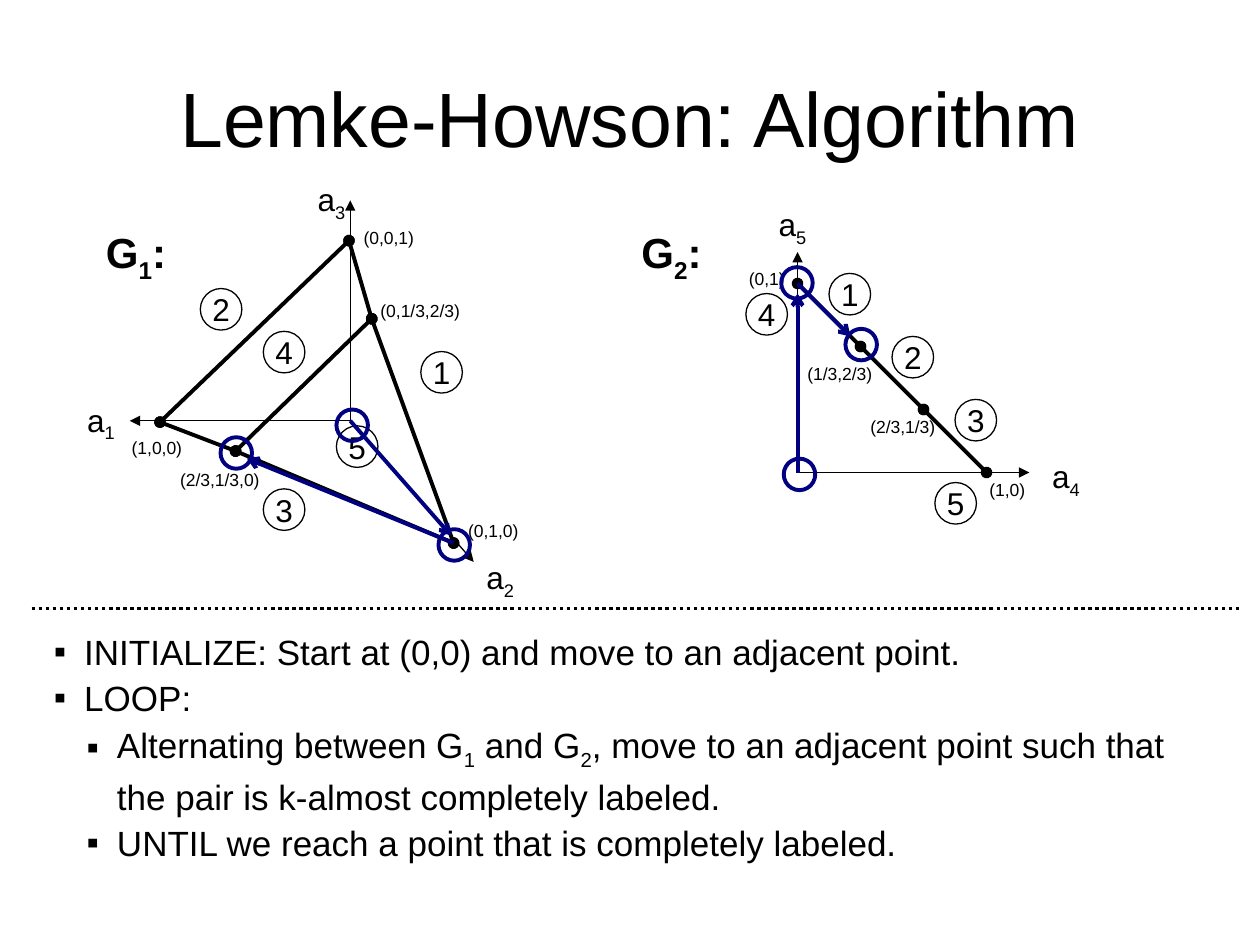
import pptx
import pptx.dml.color
import pptx.enum.dml
import pptx.enum.shapes
import pptx.enum.text
import pptx.oxml.ns
import pptx.util
from lxml import etree

Inches = pptx.util.Inches
qn = pptx.oxml.ns.qn
COLORS = {"ink": "000000", "path": "000080"}


class GraphSlide:
    """Draws labelled polytope graphs on one slide in a shared style."""

    font_name = "Arial"
    label_size = 0.33
    marker_size = 0.25

    def __init__(self, slide):
        self.slide = slide

    def rgb(self, color):
        return pptx.dml.color.RGBColor.from_string(COLORS[color])

    def style_font(self, paragraph, size, bold=False):
        font = paragraph.font
        font.name = self.font_name
        font.size = pptx.util.Pt(size)
        font.bold = bold
        font.color.rgb = self.rgb("ink")

    def add_wording(self, paragraph, wording):
        for index, part in enumerate(wording.split("|")):
            if part:
                run = paragraph.add_run()
                run.text = part
                if index % 2:
                    run.font._element.set("baseline", "-25000")

    def text(self, wording, left, top, width, height, size, bold=False, wrap=True):
        box = self.slide.shapes.add_textbox(*map(Inches, (left, top, width, height)))
        frame = box.text_frame
        frame.word_wrap = wrap
        paragraph = frame.paragraphs[0]
        paragraph.alignment = pptx.enum.text.PP_ALIGN.CENTER
        self.style_font(paragraph, size, bold)
        self.add_wording(paragraph, wording)
        return frame

    def title(self, wording):
        frame = self.text(wording, 0.5, 0.3, 9, 1.25, 44)
        frame.vertical_anchor = pptx.enum.text.MSO_ANCHOR.MIDDLE

    def heading(self, wording, left, top):
        self.text(wording, left, top, 1, 0.56, 24, bold=True)

    def axis_name(self, wording, left, top):
        self.text(wording, left, top, 0.42, 0.44, 18, wrap=False)

    def coordinates(self, wording, left, top):
        self.text(wording, left, top, 0.83, 0.27, 10)

    def line(self, start, end, color="ink", width=0.75, head=None, tail=None, dash=None):
        connector = self.slide.shapes.add_connector(
            pptx.enum.shapes.MSO_CONNECTOR.STRAIGHT, *map(Inches, (*start, *end)))
        etree.SubElement(connector._element.spPr, qn("a:effectLst"))
        connector.line.color.rgb = self.rgb(color)
        connector.line.width = pptx.util.Pt(width)
        if dash:
            connector.line.dash_style = dash
        outline = connector.line._get_or_add_ln()
        for tag, kind in (("a:headEnd", head), ("a:tailEnd", tail)):
            if kind:
                etree.SubElement(outline, qn(tag), type=kind)

    def axis(self, start, end):
        self.line(start, end, tail="triangle")

    def edge(self, start, end):
        self.line(start, end, width=2.25, head="oval", tail="oval")

    def move(self, start, end):
        self.line(start, end, "path", 2.25, tail="arrow")

    def circle(self, left, top, size, color, width):
        ring = self.slide.shapes.add_shape(
            pptx.enum.shapes.MSO_SHAPE.OVAL, *map(Inches, (left, top, size, size)))
        ring.shadow.inherit = False
        ring.fill.background()
        ring.line.color.rgb = self.rgb(color)
        ring.line.width = pptx.util.Pt(width)
        return ring

    def label(self, wording, left, top):
        frame = self.circle(left, top, self.label_size, "ink", 0.75).text_frame
        frame.word_wrap = False
        frame.vertical_anchor = pptx.enum.text.MSO_ANCHOR.MIDDLE
        paragraph = frame.paragraphs[0]
        paragraph.alignment = pptx.enum.text.PP_ALIGN.CENTER
        self.style_font(paragraph, 18)
        self.add_wording(paragraph, wording)

    def marker(self, left, top):
        self.circle(left, top, self.marker_size, "path", 2.25)

    def steps(self, items, left, top, width, height):
        box = self.slide.shapes.add_textbox(*map(Inches, (left, top, width, height)))
        frame = box.text_frame
        frame.word_wrap = True
        for index, (level, wording) in enumerate(items):
            paragraph = frame.add_paragraph() if index else frame.paragraphs[0]
            paragraph.level = level
            paragraph.line_spacing = 1.1
            properties = paragraph._p.get_or_add_pPr()
            properties.set("marL", str(Inches((0.24, 0.5)[level])))
            properties.set("indent", str(Inches(-0.24)))
            bullet_color = etree.SubElement(properties, qn("a:buClr"))
            etree.SubElement(bullet_color, qn("a:srgbClr"), val=COLORS["ink"])
            etree.SubElement(properties, qn("a:buFont"), typeface=self.font_name)
            etree.SubElement(properties, qn("a:buChar"), char="▪")
            self.style_font(paragraph, 20)
            self.add_wording(paragraph, wording)


def draw_first_graph(graph):
    origin = (2.78, 3.34)
    a1, a2, a3 = (1.27, 3.35), (3.6, 4.31), (2.77, 1.91)
    low, high = (1.87, 3.58), (2.95, 2.53)
    for tip in ((2.78, 1.59), (1.03, 3.34), (3.76, 4.46)):
        graph.axis(origin, tip)
    for start, end in ((a1, a3), (low, high), (a3, high), (a1, low), (low, a2), (high, a2)):
        graph.edge(start, end)
    for name, left, top in (("2", 1.59, 2.29), ("4", 2.09, 2.63), ("1", 3.34, 2.79),
                            ("5", 2.67, 3.38), ("3", 2.09, 3.88)):
        graph.label(name, left, top)
    for name, left, top in (("a|3", 2.42, 1.38), ("a|1", 0.59, 3.13), ("a|2", 3.76, 4.38)):
        graph.axis_name(name, left, top)
    for point, left, top in (("(0,0,1)", 2.67, 1.75), ("(0,1,0)", 3.5, 4.08),
                             ("(1,0,0)", 0.83, 3.42), ("(2/3,1/3,0)", 1.33, 3.67),
                             ("(0,1/3,2/3)", 2.92, 2.33)):
        graph.coordinates(point, left, top)
    graph.heading("G|1|:", 0.58, 1.75)
    for left, top in ((2.67, 3.25), (3.48, 4.2), (1.75, 3.47)):
        graph.marker(left, top)
    graph.move(origin, (3.58, 4.25))
    graph.move(a2, (1.96, 3.64))


def draw_second_graph(graph):
    origin = (6.33, 3.75)
    corners = [(6.33 + 0.5 * step, 2.25 + 0.5 * step) for step in range(4)]
    graph.axis(origin, (6.33, 2))
    graph.axis(origin, (8.17, 3.75))
    for start, end in zip(corners, corners[1:]):
        graph.edge(start, end)
    graph.axis_name("a|5", 6.08, 1.58)
    graph.axis_name("a|4", 8.25, 3.58)
    for step, name in enumerate("123"):
        graph.label(name, 6.58 + 0.5 * step, 2.17 + 0.5 * step)
    graph.label("4", 5.92, 2.33)
    graph.label("5", 7.42, 3.83)
    for point, left, top in (("(0,1)", 5.67, 2.08), ("(1,0)", 7.58, 3.75),
                             ("(2/3,1/3)", 6.75, 3.25), ("(1/3,2/3)", 6.25, 2.83)):
        graph.coordinates(point, left, top)
    graph.heading("G|2|:", 4.83, 1.75)
    for left, top in ((6.22, 3.64), (6.2, 2.12), (6.71, 2.61)):
        graph.marker(left, top)
    graph.move(origin, (6.33, 2.33))
    graph.move(corners[0], (6.75, 2.67))


def main():
    deck = pptx.Presentation()
    deck.slide_width, deck.slide_height = Inches(10), Inches(7.5)
    graph = GraphSlide(deck.slides.add_slide(deck.slide_layouts[6]))
    graph.title("Lemke-Howson: Algorithm")
    draw_first_graph(graph)
    draw_second_graph(graph)
    graph.line((0.25, 4.83), (9.83, 4.83), width=2,
               dash=pptx.enum.dml.MSO_LINE.ROUND_DOT)
    graph.steps([
        (0, "INITIALIZE: Start at (0,0) and move to an adjacent point."),
        (0, "LOOP:"),
        (1, "Alternating between G|1| and G|2|, move to an adjacent point such that "
            "the pair is k-almost completely labeled."),
        (1, "UNTIL we reach a point that is completely labeled."),
    ], 0.33, 4.92, 9.25, 1.99)
    deck.save("out.pptx")


if __name__ == "__main__":
    main()
